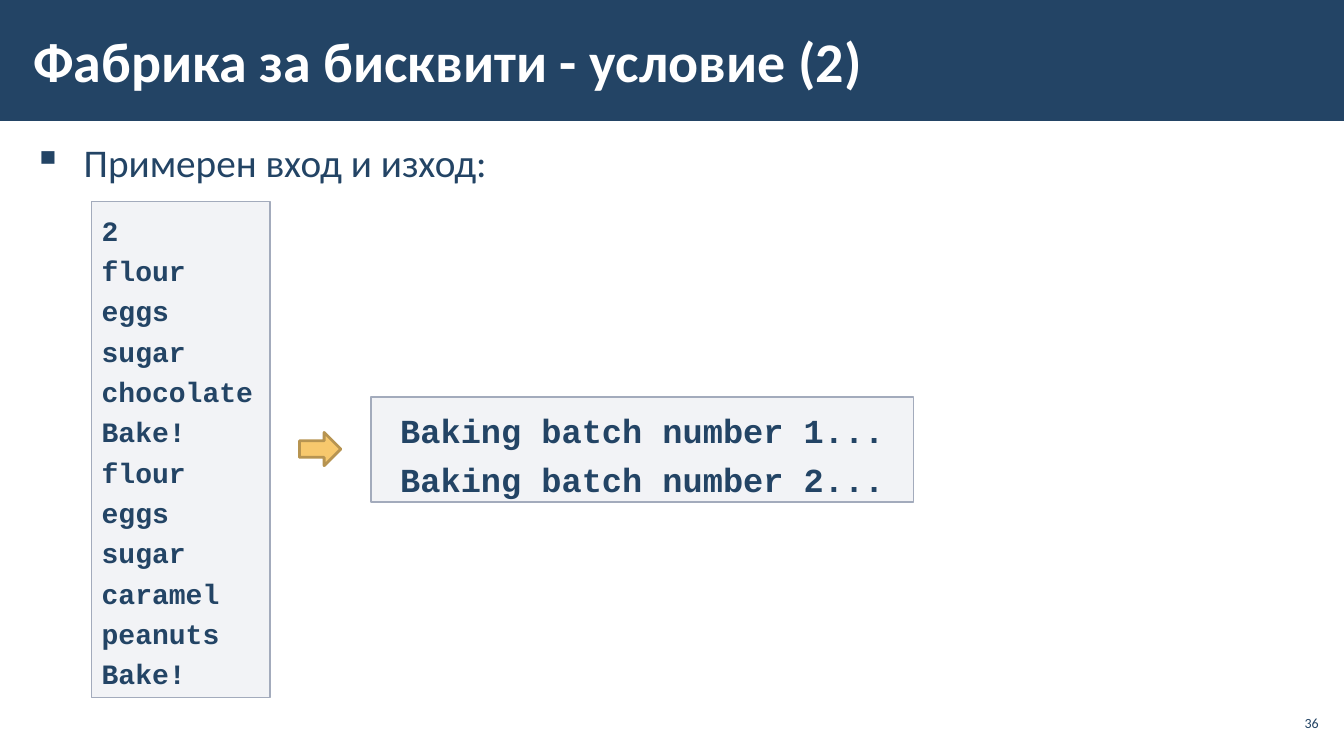
from lxml.etree import SubElement
from pptx import Presentation
from pptx.dml.color import RGBColor
from pptx.enum.shapes import MSO_SHAPE as Shape
from pptx.enum.text import MSO_ANCHOR as Anchor, MSO_AUTO_SIZE as AutoSize, PP_ALIGN as Align
from pptx.oxml.ns import qn
from pptx.util import Inches, Pt

COLORS = {
    "navy": "234465",
    "white": "FFFFFF",
    "box": "C2C7D2",
    "box_line": "A3ABBC",
    "arrow": "F7C86D",
    "arrow_line": "B79451",
}


def color(name):
    return RGBColor.from_string(COLORS[name])


class SlideBuilder:
    text_font = "Calibri"
    code_font = "Courier New"

    def __init__(self, slide):
        self.slide = slide

    def shape(self, kind, box, fill, line=None, line_width=1, opacity=None):
        shape = self.slide.shapes.add_shape(kind, *map(Inches, box))
        shape.shadow.inherit = False
        shape.fill.solid()
        shape.fill.fore_color.rgb = color(fill)
        if opacity is not None:
            fill_color = shape._element.spPr.find(qn("a:solidFill"))[0]
            SubElement(fill_color, qn("a:alpha"), val=str(opacity * 1000))
        if line:
            shape.line.color.rgb = color(line)
            shape.line.width = Pt(line_width)
        else:
            shape.line.fill.background()
        return shape

    def set_lines(self, frame, lines, size, font, ink="navy", bold=False, align=Align.LEFT, spacing=1.0):
        frame.word_wrap = True
        frame.text = "\n".join(lines)
        for paragraph in frame.paragraphs:
            paragraph.alignment = align
            paragraph.line_spacing = spacing
            paragraph.font.name = font
            paragraph.font.size = Pt(size)
            paragraph.font.bold = bold
            paragraph.font.color.rgb = color(ink)

    def text(self, box, text, size, anchor=Anchor.MIDDLE, side_inset=0.12, **style):
        frame = self.slide.shapes.add_textbox(*map(Inches, box)).text_frame
        frame.margin_left = frame.margin_right = Inches(side_inset)
        frame.margin_top = frame.margin_bottom = Inches(0.04)
        frame.vertical_anchor = anchor
        self.set_lines(frame, [text], size, self.text_font, **style)
        return frame.paragraphs[0]

    def bullet(self, box, text, size):
        paragraph = self.text(box, text, size, anchor=Anchor.TOP, spacing=1.05)
        paragraph.space_before = paragraph.space_after = Pt(6)
        properties = paragraph._p.get_or_add_pPr()
        properties.set("marL", str(Inches(0.5)))
        properties.set("indent", str(-Inches(0.5)))
        bullet = SubElement(properties, qn("a:buChar"), char="▪")
        properties.insert_element_before(bullet, "a:tabLst", "a:defRPr", "a:extLst")

    def code(self, box, lines, size, align=Align.LEFT):
        frame = self.shape(Shape.RECTANGLE, box, "box", "box_line", opacity=20).text_frame
        frame.vertical_anchor = Anchor.TOP
        self.set_lines(frame, lines, size, self.code_font, bold=True, align=align, spacing=1.2)
        frame.auto_size = AutoSize.SHAPE_TO_FIT_TEXT


def main():
    presentation = Presentation()
    presentation.slide_width = Inches(13.33)
    presentation.slide_height = Inches(7.5)
    builder = SlideBuilder(presentation.slides.add_slide(presentation.slide_layouts[6]))

    # Title bar
    builder.shape(Shape.RECTANGLE, (0, 0, 13.33, 1.2), "navy")
    builder.text((0.21, 0.11, 10.39, 0.97), "Фабрика за бисквити - условие (2)", 40,
                 ink="white", bold=True)

    # Lead-in and slide number
    builder.bullet((0.21, 1.31, 12.92, 5.69), "Примерен вход и изход:", 28)
    builder.text((12.65, 7, 0.47, 0.34), "36", 10, side_inset=0.04, align=Align.RIGHT)

    # Sample input, arrow and output
    sample_input = ["2", "flour", "eggs", "sugar", "chocolate", "Bake!",
                    "flour", "eggs", "sugar", "caramel", "peanuts", "Bake!"]
    sample_output = [f"Baking batch number {batch}..." for batch in (1, 2)]
    builder.code((0.91, 2, 1.77, 4.92), sample_input, 20)
    builder.shape(Shape.RIGHT_ARROW, (2.97, 4.29, 0.41, 0.33), "arrow", "arrow_line", line_width=2)
    builder.code((3.68, 3.94, 5.38, 1.04), sample_output, 24, align=Align.CENTER)

    presentation.save("out.pptx")


if __name__ == "__main__":
    main()
